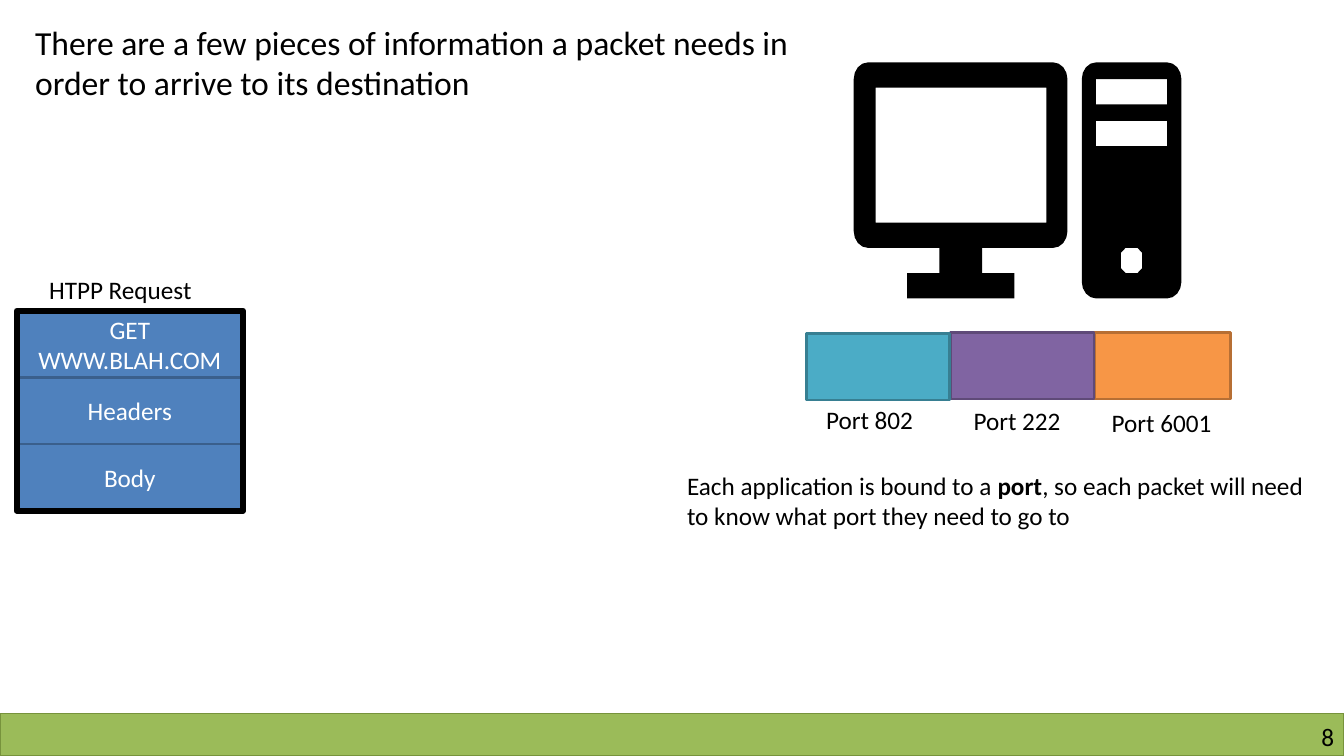
from math import cos, radians, sin

from pptx import Presentation
from pptx.dml.color import RGBColor
from pptx.enum.shapes import MSO_SHAPE as Shape
from pptx.enum.text import MSO_ANCHOR as Anchor, MSO_AUTO_SIZE as AutoSize, PP_ALIGN as Align
from pptx.util import Pt

BLACK = RGBColor(0x00, 0x00, 0x00)
WHITE = RGBColor(0xFF, 0xFF, 0xFF)
GREEN, DARK_GREEN = RGBColor(0x9B, 0xBB, 0x59), RGBColor(0x77, 0x93, 0x3C)
BLUE, DARK_BLUE = RGBColor(0x4F, 0x81, 0xBD), RGBColor(0x3A, 0x5F, 0x8C)
ORANGE, DARK_ORANGE = RGBColor(0xF7, 0x96, 0x46), RGBColor(0xB7, 0x6F, 0x34)
PURPLE, DARK_PURPLE = RGBColor(0x80, 0x64, 0xA2), RGBColor(0x5F, 0x4A, 0x78)
TEAL, DARK_TEAL = RGBColor(0x4B, 0xAC, 0xC6), RGBColor(0x37, 0x7F, 0x92)


def write_runs(paragraph, runs, color=BLACK, size=18):
    """Add (text, bold) runs to the paragraph."""
    for text, bold in runs:
        run = paragraph.add_run()
        run.text = text
        run.font.name = "Calibri"
        run.font.size = Pt(size)
        run.font.bold = bold
        run.font.color.rgb = color


def rounded_contour(left, top, right, bottom, radius_x=0, radius_y=0, steps=1):
    """Points clockwise from the bottom left corner to the bottom right one."""
    corners = [(left + radius_x, bottom - radius_y, 90), (left + radius_x, top + radius_y, 180),
               (right - radius_x, top + radius_y, 270), (right - radius_x, bottom - radius_y, 0)]
    return [(x + radius_x * cos(radians(start + 90 * step / steps)),
             y + radius_y * sin(radians(start + 90 * step / steps)))
            for x, y, start in corners for step in range(steps + 1)]


presentation = Presentation()
presentation.slide_width, presentation.slide_height = Pt(960), Pt(540)
slide = presentation.slides.add_slide(presentation.slide_layouts[6])
shapes = slide.shapes

# Footer bar, request parts with their frame, and port boxes
REQUEST_LEFT, REQUEST_TOP, REQUEST_WIDTH, PART_HEIGHT = 12, 222, 161.5, 47.6
boxes = [(0, 509.5, 960, 30.5, GREEN, DARK_GREEN, 1, "")]
for index, part in enumerate(["GET WWW.BLAH.COM", "Headers", "Body"]):
    boxes.append((REQUEST_LEFT, REQUEST_TOP + index * PART_HEIGHT, REQUEST_WIDTH, PART_HEIGHT,
                  BLUE, DARK_BLUE, 2, part))
boxes += [
    (REQUEST_LEFT, REQUEST_TOP, REQUEST_WIDTH, 3 * PART_HEIGHT, None, BLACK, 4.5, ""),
    (782, 237.5, 97, 47.5, ORANGE, DARK_ORANGE, 2, ""),
    (679, 237.5, 102.5, 47.5, PURPLE, DARK_PURPLE, 2, ""),
    (576, 238.3, 102.5, 47.5, TEAL, DARK_TEAL, 2, ""),
]
for left, top, width, height, fill, line, weight, text in boxes:
    box = shapes.add_shape(Shape.RECTANGLE, Pt(left), Pt(top), Pt(width), Pt(height))
    box.shadow.inherit = False
    if fill is None:
        box.fill.background()
    else:
        box.fill.solid()
        box.fill.fore_color.rgb = fill
    box.line.color.rgb = line
    box.line.width = Pt(weight)
    if text:
        box.text_frame.word_wrap = True
        box.text_frame.vertical_anchor = Anchor.MIDDLE
        paragraph = box.text_frame.paragraphs[0]
        paragraph.alignment = Align.CENTER
        write_runs(paragraph, [(text, False)], WHITE)

# Text: left, top, width, height, size, wraps, runs
port_sentence = [("Each application is bound to a ", False), ("port", True),
                 (", so each packet will need to know what port they need to go to", False)]
title = "There are a few pieces of information a packet needs in order to arrive to its destination"
texts = [
    (18, 12, 564, 65.5, 24, True, [(title, False)]),
    (28, 192.5, 135.5, 29, 18, False, [("HTPP Request", False)]),
    (483.7, 332.5, 467.5, 51, 18, True, port_sentence),
    (583, 285.3, 83.5, 29, 18, False, [("Port 802", False)]),
    (688.3, 285.8, 83.5, 29, 18, False, [("Port 222", False)]),
    (787, 287.5, 93.5, 29, 18, False, [("Port 6001", False)]),
]
for left, top, width, height, size, wraps, runs in texts:
    frame = shapes.add_textbox(Pt(left), Pt(top), Pt(width), Pt(height)).text_frame
    frame.word_wrap = wraps
    frame.auto_size = AutoSize.SHAPE_TO_FIT_TEXT
    write_runs(frame.paragraphs[0], runs, size=size)

frame = shapes.add_textbox(Pt(732), Pt(515), Pt(221), Pt(21.6)).text_frame
frame.margin_left = frame.margin_top = frame.margin_right = frame.margin_bottom = 0
frame.word_wrap = True
frame.paragraphs[0].alignment = Align.RIGHT
write_runs(frame.paragraphs[0], [("8", False)])

# Computer: outlines of monitor and tower, with the openings cut out of them
stand = [(701.5, 177.1), (701.5, 195.1), (724.5, 195.1), (724.5, 213.2),
         (648, 213.2), (648, 195.1), (671, 195.1), (671, 177.1)]
contours = [
    rounded_contour(609.8, 44.6, 762.5, 177.1, 10.2, 12, 4) + stand,
    rounded_contour(625.5, 62.6, 747.4, 159.1),
    rounded_contour(772.7, 44.6, 843.9, 213.2, 10.2, 12, 4),
    rounded_contour(782.8, 56.5, 833.7, 74.6),
    rounded_contour(782.8, 86.4, 833.7, 104.5),
    rounded_contour(800.6, 177.1, 815.9, 195.1, 3.4, 3.6),
]
builder = None
for contour in contours:
    points = [(Pt(x), Pt(y)) for x, y in contour]
    if builder is None:
        builder = shapes.build_freeform(*points[0])
    else:
        builder.move_to(*points[0])
    builder.add_line_segments(points[1:], close=True)
computer = builder.convert_to_shape()
computer.shadow.inherit = False
computer.fill.solid()
computer.fill.fore_color.rgb = BLACK
computer.line.fill.background()

presentation.save("out.pptx")
